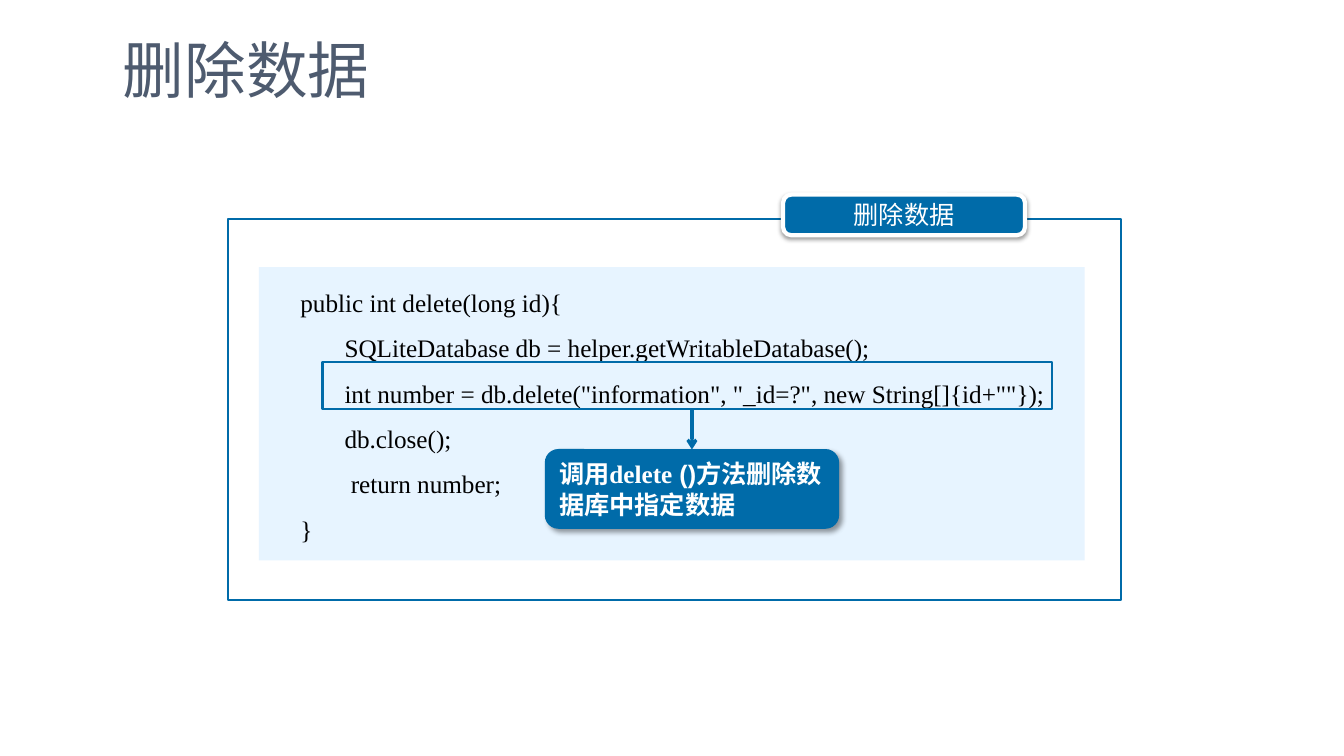
from lxml import etree
from pptx import Presentation
from pptx.dml.color import RGBColor
from pptx.enum.shapes import MSO_CONNECTOR, MSO_SHAPE
from pptx.enum.text import MSO_ANCHOR, MSO_AUTO_SIZE, PP_ALIGN
from pptx.oxml.ns import qn
from pptx.util import Pt

RECT, ROUND = MSO_SHAPE.RECTANGLE, MSO_SHAPE.ROUNDED_RECTANGLE
STRAIGHT = MSO_CONNECTOR.STRAIGHT
TOP, MIDDLE = MSO_ANCHOR.TOP, MSO_ANCHOR.MIDDLE
LEFT, CENTER = PP_ALIGN.LEFT, PP_ALIGN.CENTER
NO_FIT = MSO_AUTO_SIZE.NONE

THEME = {
    "blue": RGBColor(0x00, 0x6B, 0xA9),
    "pale": RGBColor(0xE7, 0xF4, 0xFF),
    "slate": RGBColor(0x4E, 0x5B, 0x6F),
    "white": RGBColor(0xFF, 0xFF, 0xFF),
    "black": RGBColor(0x00, 0x00, 0x00),
    "title": Pt(44),
    "body": Pt(18),
    "sans": "Arial",
    "serif": "Times New Roman",
    "cjk": "Noto Sans CJK SC",
}


def add_box(kind, x, y, w, h, fill=None, line=None, weight=1.5, shadow=None):
    sp = s.shapes.add_shape(kind, Pt(x), Pt(y), Pt(w), Pt(h))
    sp.shadow.inherit = False
    if fill:
        sp.fill.solid()
        sp.fill.fore_color.rgb = THEME[fill]
    else:
        sp.fill.background()
    if line:
        sp.line.color.rgb = THEME[line]
        sp.line.width = Pt(weight)
    else:
        sp.line.fill.background()
    if shadow:
        alpha, blur, dist, angle = shadow
        effects = sp._element.spPr.find(qn("a:effectLst"))
        outer = etree.SubElement(effects, qn("a:outerShdw"), blurRad=str(Pt(blur)),
                                 dist=str(Pt(dist)), dir=str(angle * 60000), algn="tl", rotWithShape="0")
        color = etree.SubElement(outer, qn("a:srgbClr"), val="000000")
        etree.SubElement(color, qn("a:alpha"), val=str(alpha * 1000))
    return sp


def style(r, face, size, color, bold=False):
    r.font.name = THEME[face]
    r.font.size = THEME[size]
    r.font.color.rgb = THEME[color]
    r.font.bold = bold
    etree.SubElement(r.font._element, qn("a:ea"), typeface=THEME["cjk"])


prs = Presentation()
prs.slide_width, prs.slide_height = Pt(960), Pt(540)
s = prs.slides.add_slide(prs.slide_layouts[5])

title = s.shapes.title
title.left, title.top, title.width, title.height = Pt(80.6), Pt(21.6), Pt(549.4), Pt(54.7)
tf = title.text_frame
tf.text = "删除数据"
tf.auto_size = NO_FIT
tf.vertical_anchor = MIDDLE
tf.paragraphs[0].alignment = LEFT
style(tf.paragraphs[0].runs[0], "sans", "title", "slate")

add_box(RECT, 162.7, 156.2, 638, 272.2, line="blue")

tab = add_box(ROUND, 559.4, 139, 172.8, 29, "blue", "white", 3, (38, 3.1, 1.6, 90))
tab.adjustments[0] = 0.2
tf = tab.text_frame
tf.text = "删除数据"
tf.vertical_anchor = MIDDLE
tf.paragraphs[0].alignment = CENTER
style(tf.paragraphs[0].runs[0], "cjk", "body", "white")

code = add_box(RECT, 185, 190.8, 589.7, 209.5, "pale")
code_lines = [
    (22.5, "public int delete(long id){"),
    (54, "SQLiteDatabase db = helper.getWritableDatabase();"),
    (54, 'int number = db.delete("information", "_id=?", new String[]{id+""});'),
    (54, "db.close();"),
    (58.5, "return number;"),
    (22.5, "}"),
]
tf = code.text_frame
tf.text = "\n".join(text for _, text in code_lines)
tf.vertical_anchor = TOP
for p, (indent, _) in zip(tf.paragraphs, code_lines):
    p.alignment = LEFT
    p.line_spacing = 1.5
    p._p.get_or_add_pPr().set("marL", str(Pt(indent)))
    style(p.runs[0], "serif", "body", "black")

add_box(RECT, 230.4, 258.5, 521.3, 33.8, line="blue")

callout = add_box(ROUND, 389.5, 321.1, 209.5, 56.2, "blue", "blue", 0.75, (40, 4, 3, 45))
tf = callout.text_frame
tf.vertical_anchor = MIDDLE
p = tf.paragraphs[0]
p.alignment = LEFT
for text, face in [("调用", "sans"), ("delete", "serif"), (" ()方法删除数据库中指定数据", "sans")]:
    r = p.add_run()
    r.text = text
    style(r, face, "body", "white", True)

arrow = s.shapes.add_connector(STRAIGHT, Pt(494.25), Pt(292.3), Pt(494.25), Pt(321.1))
arrow.end_connect(callout, 0)
arrow.line.color.rgb = THEME["blue"]
arrow.line.width = Pt(2.25)
etree.SubElement(arrow.line._get_or_add_ln(), qn("a:tailEnd"), type="arrow")
etree.SubElement(arrow._element.spPr, qn("a:effectLst"))

prs.save("out.pptx")
